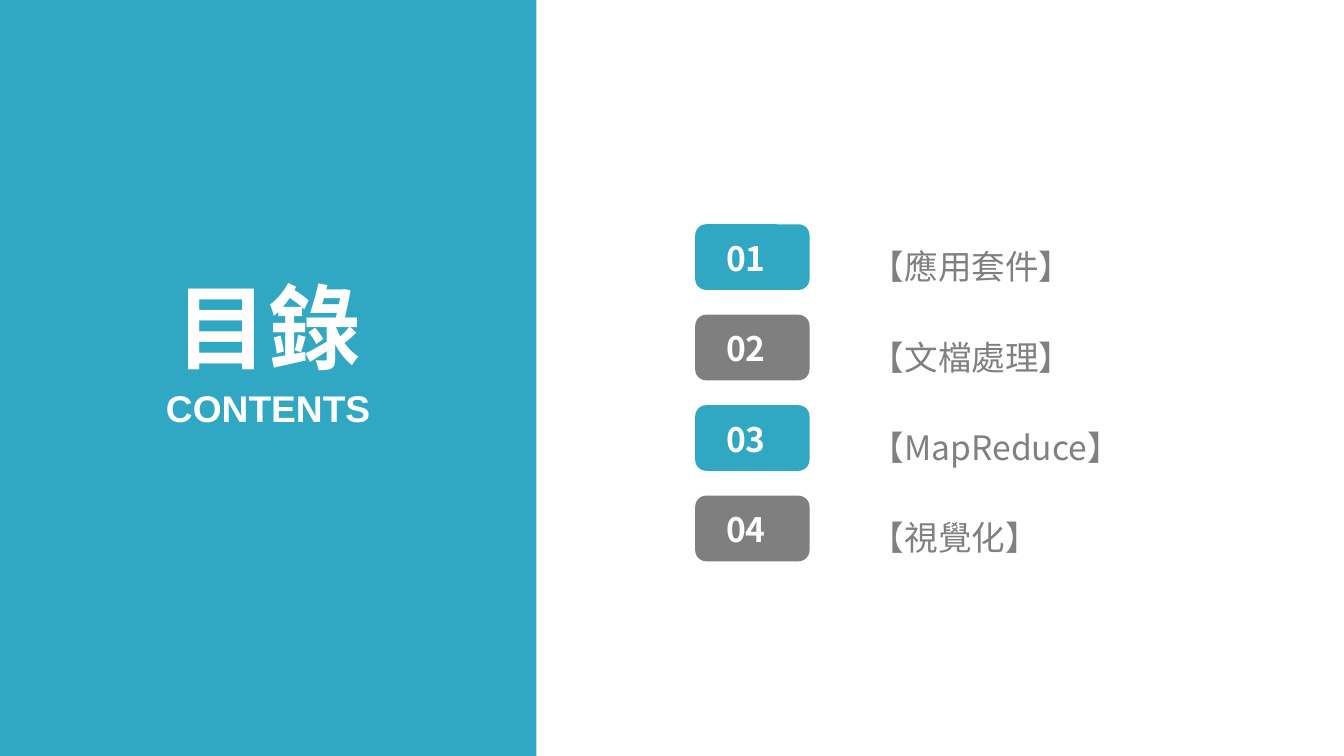
from lxml import etree
from pptx import Presentation
from pptx import util as u
from pptx.dml.color import RGBColor
from pptx.enum import shapes, text
from pptx.oxml.ns import qn

TEAL, GRAY, LABEL_GRAY, WHITE = "30A8C4", "7F7F7F", "808080", "FFFFFF"
NOTO = "Noto Sans CJK SC"
TOPICS = ["【應用套件】", "【文檔處理】", "【MapReduce】", "【視覺化】"]


def color(value):
    """Turn a hex string into a colour."""
    return RGBColor.from_string(value)


def cm_box(box):
    """Turn left, top, width and height in centimetres into lengths."""
    return [u.Cm(length) for length in box]


def write_text(frame, words, *, size, fill, font=NOTO, bold=False, align="CENTER",
               anchor="TOP", insets=(0, 0), wrap=True, spacing=None, before=None):
    """Fill a text frame with one formatted paragraph."""
    frame.word_wrap = wrap
    frame.vertical_anchor = text.MSO_ANCHOR[anchor]
    frame.margin_left = frame.margin_right = u.Cm(insets[0])
    frame.margin_top = frame.margin_bottom = u.Cm(insets[1])
    line = frame.paragraphs[0]
    line.alignment = text.PP_ALIGN[align]
    line.line_spacing = spacing
    if before is not None:
        line.space_before = u.Pt(before)
    run = line.add_run()
    run.text = words
    run.font.size = u.Pt(size)
    run.font.bold = bold
    run.font.name = font
    run.font.color.rgb = color(fill)
    east_asian = etree.SubElement(run.font._element, qn("a:ea"))
    east_asian.set("typeface", NOTO)


def add_panel(slide, kind, box, fill=None):
    """Add a borderless preset shape, unfilled when no colour is given."""
    panel = slide.shapes.add_shape(shapes.MSO_SHAPE[kind], *cm_box(box))
    panel.shadow.inherit = False
    panel.line.fill.background()
    if fill:
        panel.fill.solid()
        panel.fill.fore_color.rgb = color(fill)
    else:
        panel.fill.background()
    return panel


def add_words(slide, box, words, **style):
    """Add a text box holding one paragraph."""
    write_text(slide.shapes.add_textbox(*cm_box(box)).text_frame, words, **style)


def add_title_band(slide, box):
    """Draw the coloured band with the title and its subtitle."""
    left, top, width, height = box
    add_panel(slide, "RECTANGLE", box, TEAL)
    style = dict(fill=WHITE, font="Arial", bold=True, wrap=False)
    add_words(slide, (left + (width - 3.53) / 2, top + 5.11, 3.53, 2.11),
              "目錄", size=49.5, **style)
    add_words(slide, (left + (width - 3.89) / 2, top + 7.29, 3.89, 0.86),
              "CONTENTS", size=19.9, **style)


def add_topic(slide, box, number, topic):
    """Draw one numbered badge with its topic beside it."""
    left, top, width, height = box
    badge_fill = TEAL if number % 2 else GRAY
    add_panel(slide, "ROUNDED_RECTANGLE", (left, top, 2.16, height), badge_fill)
    numeral = add_panel(slide, "OVAL", (left - 0.03, top - 0.09, 1.98, 1.45))
    write_text(numeral.text_frame, f"{number:02}", size=18, fill=WHITE, bold=True,
               anchor="MIDDLE", insets=(0.15, 0.08))
    add_words(slide, (left + 3.14, top - 0.07, width - 3.14, 1.22), topic,
              size=18, fill=LABEL_GRAY, align="LEFT", insets=(0.18, 0.1),
              spacing=1.5, before=5.6)


def add_topic_list(slide, box):
    """Stack the topics at an equal pitch."""
    left, top, width, height = box
    row_height = 1.24
    pitch = (height - row_height) / (len(TOPICS) - 1)
    for index, topic in enumerate(TOPICS):
        add_topic(slide, (left, top + index * pitch, width, row_height), index + 1, topic)


def main():
    """Build the contents slide and save it."""
    deck = Presentation()
    deck.slide_width, deck.slide_height = u.Cm(25.4), u.Cm(14.29)
    slide = deck.slides.add_slide(deck.slide_layouts[6])
    add_title_band(slide, (0, 0, 10.14, 14.29))
    add_topic_list(slide, (13.14, 4.24, 10.35, 6.37))
    deck.save("out.pptx")


if __name__ == "__main__":
    main()
